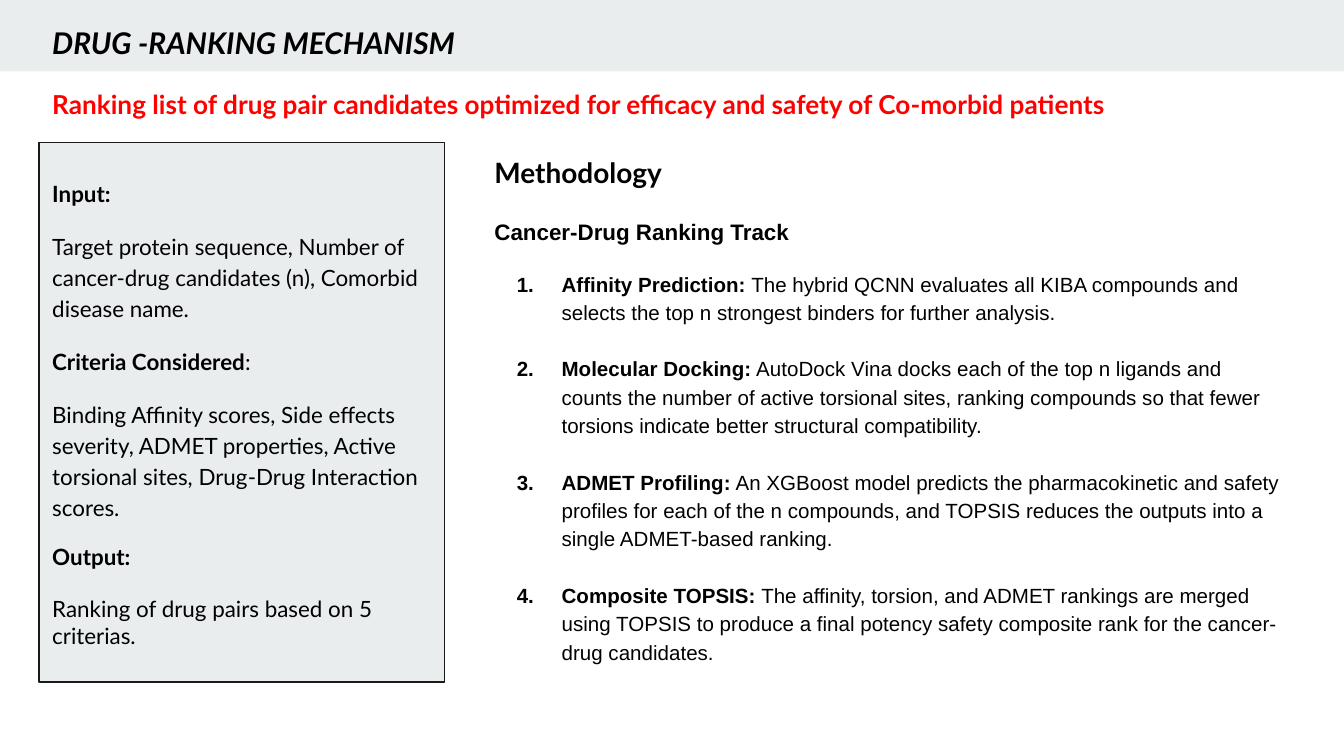
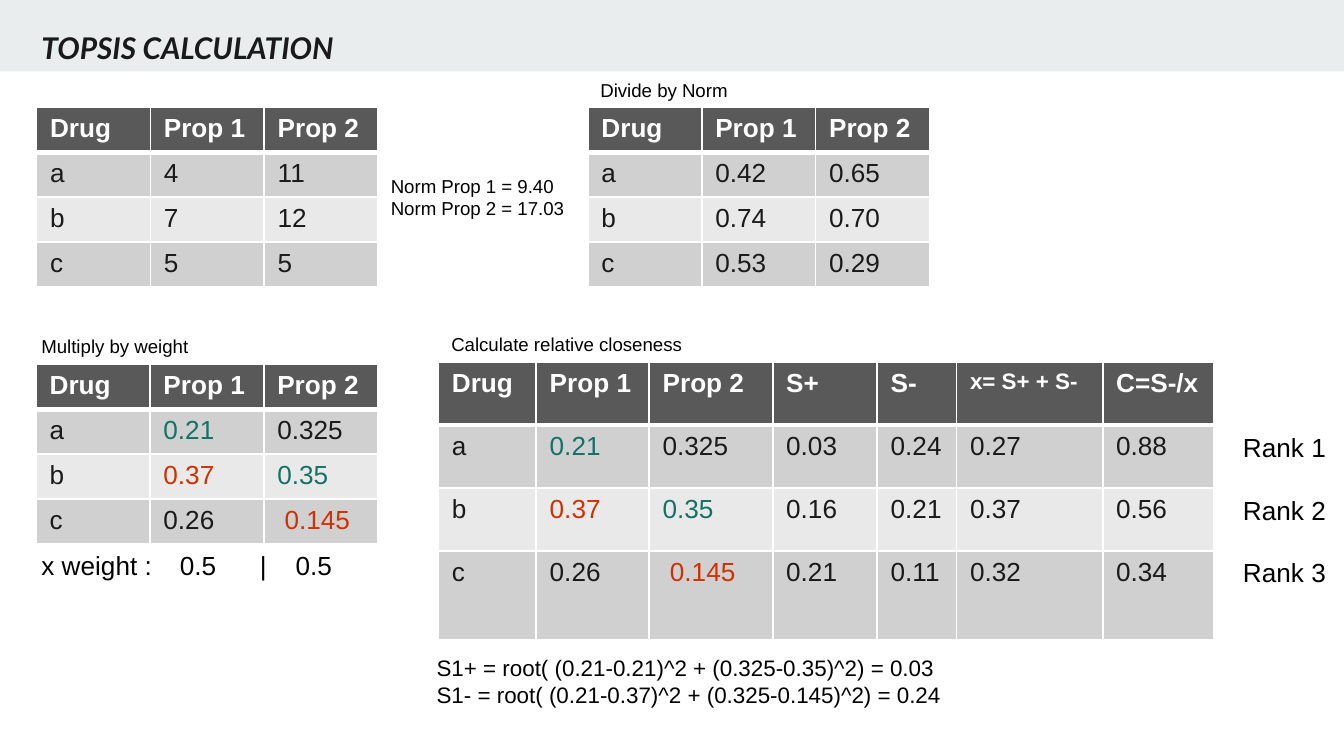
from lxml.etree import SubElement
from pptx import Presentation
from pptx.dml.color import RGBColor
from pptx.enum.shapes import MSO_SHAPE
from pptx.enum.text import MSO_ANCHOR
from pptx.oxml import parse_xml
from pptx.oxml.ns import nsdecls, qn
from pptx.util import Pt

BLACK = "000000"
INK = "1A1A1A"
WHITE = "FFFFFF"
PANEL = "E9EDEE"
RED = "FF0000"
HEADER = "595959"
STRIPES = ("D0D0D0", "E9E9E9")
BEST = "137266"
WORST = "D03100"

PROPERTY_HEADS = ("Drug", "Prop 1", "Prop 2")
RAW = [("a", "4", "11"), ("b", "7", "12"), ("c", "5", "5")]
NORMALISED = [("a", "0.42", "0.65"), ("b", "0.74", "0.70"), ("c", "0.53", "0.29")]
WEIGHTED = [
    ("a", ("0.21", BEST), "0.325"),
    ("b", ("0.37", WORST), ("0.35", BEST)),
    ("c", "0.26", (" 0.145", WORST)),
]
CLOSENESS = [
    ("0.03", "0.24", "0.27", "0.88"),
    ("0.16", "0.21", "0.37", "0.56"),
    ("0.21", "0.11", "0.32", "0.34"),
]
CRITERIA = [
    ("Input:", "", 1.15, 0),
    ("", "Target protein sequence, Number of cancer‐drug candidates (n), "
     "Comorbid disease name.", 1.15, 12),
    ("Criteria Considered", ":", 1.15, 12),
    ("", "Binding Affinity scores, Side effects severity, ADMET properties, "
     "Active torsional sites, Drug-Drug Interaction scores.", 1.15, 12),
    ("Output:", "", 1, 12),
    ("", "Ranking of drug pairs based on 5 criterias.", 1, 13.2),
]
STEPS = [
    ("Affinity Prediction:", " The hybrid QCNN evaluates all KIBA compounds and "
     "selects the top n strongest binders for further analysis."),
    ("Molecular Docking:", " AutoDock Vina docks each of the top n ligands and "
     "counts the number of active torsional sites, ranking compounds so that "
     "fewer torsions indicate better structural compatibility."),
    ("ADMET Profiling:", " An XGBoost model predicts the pharmacokinetic and safety "
     "profiles for each of the n compounds, and TOPSIS reduces the outputs into a "
     "single ADMET-based ranking."),
    ("Composite TOPSIS:", " The affinity, torsion, and ADMET rankings are merged "
     "using TOPSIS to produce a final potency safety composite rank for the "
     "cancer-drug candidates."),
]


def rgb(value):
    return RGBColor.from_string(value)


def add_span(para, text, size, font="Arial", color=BLACK, bold=False, italic=False):
    span = para.add_run()
    span.text = text
    span.font.size = Pt(size)
    span.font.name = font
    span.font.color.rgb = rgb(color)
    span.font.bold = bold
    span.font.italic = italic


def add_para(frame, before=0, spacing=1):
    para = frame.paragraphs[0]
    if para.runs:
        para = frame.add_paragraph()
    para.space_before = Pt(before)
    para.line_spacing = spacing
    return para


def set_insets(frame, side, edge):
    frame.word_wrap = True
    frame.margin_left = frame.margin_right = Pt(side)
    frame.margin_top = frame.margin_bottom = Pt(edge)


def add_box(page, left, top, width, height, edge=3.6):
    box = page.shapes.add_textbox(Pt(left), Pt(top), Pt(width), Pt(height))
    set_insets(box.text_frame, 7.2, edge)
    return box.text_frame


def add_lines(page, left, top, width, height, lines, size, gap=0):
    frame = add_box(page, left, top, width, height)
    for index, line in enumerate(lines):
        add_span(add_para(frame, gap if index else 0), line, size)
    return frame


def add_panel(page, left, top, width, height):
    panel = page.shapes.add_shape(
        MSO_SHAPE.RECTANGLE, Pt(left), Pt(top), Pt(width), Pt(height))
    panel.shadow.inherit = False
    panel.fill.solid()
    panel.fill.fore_color.rgb = rgb(PANEL)
    panel.line.fill.background()
    return panel


def add_page(deck):
    page = deck.slides.add_slide(deck.slide_layouts[6])
    add_panel(page, 0, 0, 720, 38.25)
    return page


def add_title(page, text, left, top, color):
    frame = add_box(page, left, top, 480, 30, 7.2)
    add_span(add_para(frame), text, 16, "Lato", color, True, True)


def number_para(para):
    properties = para._p.get_or_add_pPr()
    properties.set("marL", str(Pt(36)))
    properties.set("indent", str(Pt(-24)))
    color = SubElement(properties, qn("a:buClr"))
    SubElement(color, qn("a:srgbClr"), val=BLACK)
    SubElement(properties, qn("a:buFont"), typeface="Arial")
    SubElement(properties, qn("a:buAutoNum"), type="arabicPeriod")


def set_tabs(para, stops):
    tabs = SubElement(para._p.get_or_add_pPr(), qn("a:tabLst"))
    for stop in stops:
        SubElement(tabs, qn("a:tab"), pos=str(Pt(stop)), algn="l")


def set_borders(cell, row):
    widths = {"L": 1, "R": 1, "T": 3 if row == 1 else 1, "B": 3 if row == 0 else 1}
    properties = cell._tc.get_or_add_tcPr()
    for index, (side, width) in enumerate(widths.items()):
        properties.insert(index, parse_xml(
            f'<a:ln{side} {nsdecls("a")} w="{Pt(width)}"><a:solidFill>'
            f'<a:srgbClr val="{WHITE}"/></a:solidFill></a:ln{side}>'))


def fill_cell(cell, content, row):
    text, color = content if isinstance(content, tuple) else (content, INK)
    header = row == 0
    cell.fill.solid()
    cell.fill.fore_color.rgb = rgb(HEADER if header else STRIPES[(row - 1) % 2])
    set_borders(cell, row)
    set_insets(cell.text_frame, 7.2, 3.6)
    size = 12 if text.startswith("x=") else 14
    add_span(add_para(cell.text_frame), text, size,
             color=WHITE if header else color, bold=header)


def add_grid(page, left, top, heads, body, widths, heights):
    rows = [heads, *body]
    table = page.shapes.add_table(
        len(rows), len(heads), Pt(left), Pt(top),
        Pt(sum(widths)), Pt(sum(heights))).table
    table.horz_banding = False
    for column, width in zip(table.columns, widths):
        column.width = Pt(width)
    for index, (contents, height) in enumerate(zip(rows, heights)):
        table.rows[index].height = Pt(height)
        for column, content in enumerate(contents):
            fill_cell(table.cell(index, column), content, index)


def add_property_grid(page, left, top, body):
    add_grid(page, left, top, PROPERTY_HEADS, body, [61] * 3, [24] * 4)


def add_criteria(page):
    panel = add_panel(page, 20.9, 76.3, 217.4, 289)
    panel.line.color.rgb = rgb(INK)
    panel.line.width = Pt(0.75)
    frame = panel.text_frame
    set_insets(frame, 7.2, 7.2)
    frame.vertical_anchor = MSO_ANCHOR.MIDDLE
    for label, text, spacing, before in CRITERIA:
        para = add_para(frame, before, spacing)
        para.alignment = 1
        if label:
            add_span(para, label, 12, "Lato", bold=True)
        if text:
            add_span(para, text, 12, "Lato")


def add_methodology(page):
    frame = add_box(page, 257.8, 76.3, 436.3, 289, 7.2)
    add_span(add_para(frame), "Methodology", 15, "Lato", bold=True)
    add_span(add_para(frame, 15.6), "Cancer‑Drug Ranking Track", 12, bold=True)
    for index, (label, text) in enumerate(STEPS):
        para = add_para(frame, 15.2 if index else 12, 1.15)
        number_para(para)
        add_span(para, label, 11, bold=True)
        add_span(para, text, 11)


def build_ranking(deck):
    page = add_page(deck)
    add_title(page, "DRUG -RANKING MECHANISM", 20.9, 5.8, BLACK)
    add_methodology(page)
    add_criteria(page)
    frame = add_box(page, 20.9, 37.4, 620.6, 27.4, 7.2)
    add_span(add_para(frame, 0, 1.15),
             "Ranking list of drug pair candidates optimized for efficacy and "
             "safety of Co-morbid patients", 14, "Lato", RED, True)


def build_topsis(deck):
    page = add_page(deck)
    add_title(page, "TOPSIS CALCULATION", 15.1, 8.6, INK)
    add_property_grid(page, 19.6, 57.6, RAW)
    add_property_grid(page, 315, 57.6, NORMALISED)
    add_property_grid(page, 19.4, 195.1, WEIGHTED)
    add_grid(page, 234.9, 193.9,
             (*PROPERTY_HEADS, "S+", "S-", "x= S+ + S-", "C=S-/x"),
             [first + last for first, last in zip(WEIGHTED, CLOSENESS)],
             [52.4, 60.5, 66.2, 56, 42.5, 78.3, 59.6], [33.8, 33.8, 33.8, 47.5])

    for left, top, caption in (
            (314.6, 38.9, "Divide by Norm"),
            (15.1, 175.7, "Multiply by weight"),
            (234.7, 175, "Calculate relative closeness")):
        add_lines(page, left, top, 200, 19.4, [caption], 10)

    add_lines(page, 202.3, 90, 127.4, 50.4,
              ["Norm Prop 1 = 9.40", "Norm Prop 2 = 17.03"], 10)
    add_lines(page, 15.1, 290.9, 84.2, 24.5, ["x weight :"], 14)
    weights = add_box(page, 81.4, 290.9, 120.2, 24.5)
    weights.margin_left = Pt(15)
    para = add_para(weights)
    set_tabs(para, (42.8, 62))
    add_span(para, "0.5\t|\t0.5", 14)
    add_lines(page, 226.8, 347, 339.8, 36,
              ["S1+ = root( (0.21-0.21)^2 + (0.325-0.35)^2) = 0.03",
               "S1- = root( (0.21-0.37)^2 + (0.325-0.145)^2) = 0.24"], 12)
    add_lines(page, 658.8, 227.5, 120.2, 92.2,
              [f"Rank {place}" for place in range(1, 4)], 14, 16.8)


def main():
    deck = Presentation()
    deck.slide_width = Pt(720)
    deck.slide_height = Pt(405)
    build_ranking(deck)
    build_topsis(deck)
    deck.save("out.pptx")


if __name__ == "__main__":
    main()
